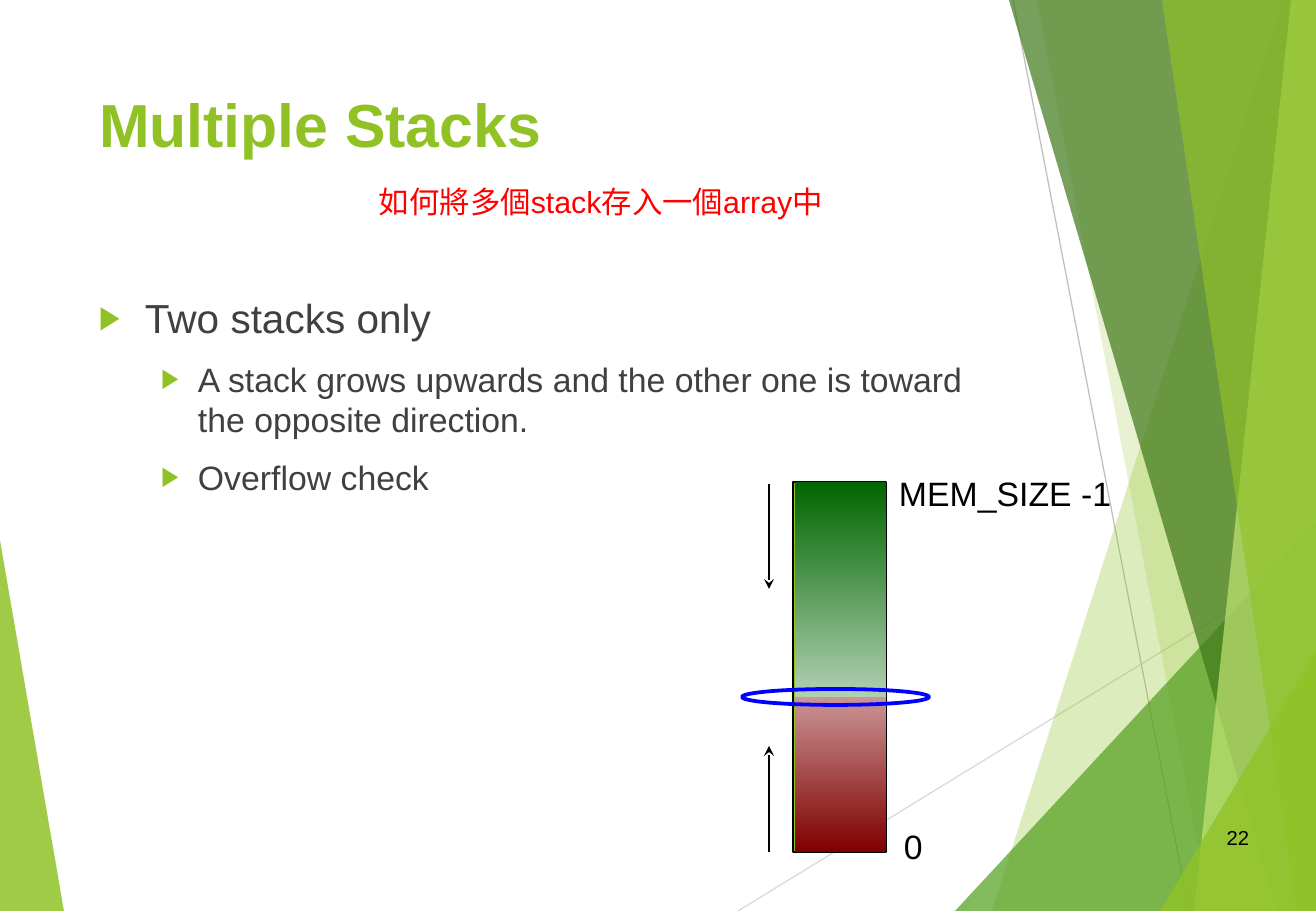
from lxml import etree
from pptx import Presentation
from pptx import util as u
from pptx.dml.color import RGBColor
from pptx.enum import shapes, text
from pptx.oxml.ns import qn

WIDTH, HEIGHT = 1316, 911
EMU_PER_PX = 914400 / 121.5
COLOURS = {
    "lime": "90C226", "leaf": "54A021", "forest": "3F7819", "pale": "C0E474",
    "body": "404040", "black": "000000", "red": "FF0000", "blue": "0000FF",
    "light_line": "D9D9D9", "mid_line": "BFBFBF",
    "upper_end": "006600", "upper_middle": "B1D0B1",
    "lower_end": "800000", "lower_middle": "D8B1B1",
}


def px(value):
    return u.Emu(round(value * EMU_PER_PX))


def rgb(name):
    return RGBColor.from_string(COLOURS[name])


class Deck:
    font = "Arial"

    def __init__(self):
        self.prs = Presentation()
        self.prs.slide_width, self.prs.slide_height = px(WIDTH), px(HEIGHT)
        self.slide = self.prs.slides.add_slide(self.prs.slide_layouts[5])

    def run(self, paragraph, words, size, colour, bold=False):
        run = paragraph.add_run()
        run.text = words
        run.font.name, run.font.size, run.font.bold = self.font, u.Pt(size), bold
        run.font.color.rgb = rgb(colour)

    def frame(self, shape, anchor=text.MSO_ANCHOR.TOP):
        frame = shape.text_frame
        frame.word_wrap = True
        frame.auto_size = text.MSO_AUTO_SIZE.NONE
        frame.vertical_anchor = anchor
        return frame

    def title(self, box, words, size, colour):
        holder = self.slide.shapes.title
        holder.left, holder.top, holder.width, holder.height = map(px, box)
        paragraph = self.frame(holder).paragraphs[0]
        paragraph.alignment = text.PP_ALIGN.LEFT
        self.run(paragraph, words, size, colour, bold=True)

    def label(self, box, words, size, colour, align=text.PP_ALIGN.LEFT,
              anchor=text.MSO_ANCHOR.TOP):
        holder = self.slide.shapes.add_textbox(*map(px, box))
        paragraph = self.frame(holder, anchor).paragraphs[0]
        paragraph.alignment = align
        self.run(paragraph, words, size, colour)

    def bullets(self, box, items, styles):
        """Each style is (text size, left margin, hanging indent)."""
        frame = self.frame(self.slide.shapes.add_textbox(*map(px, box)))
        for index, (level, words) in enumerate(items):
            paragraph = frame.add_paragraph() if index else frame.paragraphs[0]
            size, margin, hang = styles[level]
            paragraph.level, paragraph.space_before = level, u.Pt(10)
            props = paragraph._p.get_or_add_pPr()
            props.set("marL", str(px(margin)))
            props.set("indent", str(px(-hang)))
            tint = etree.SubElement(props, qn("a:buClr"))
            etree.SubElement(tint, qn("a:srgbClr"), val=COLOURS["lime"])
            etree.SubElement(props, qn("a:buSzPct"), val="80000")
            etree.SubElement(props, qn("a:buFont"), typeface=self.font)
            etree.SubElement(props, qn("a:buChar"), char="▶")
            self.run(paragraph, words, size, "body")

    def facet(self, points, colour, opacity):
        builder = self.slide.shapes.build_freeform(*points[0], scale=EMU_PER_PX)
        builder.add_line_segments(points[1:], close=True)
        facet = builder.convert_to_shape()
        facet.shadow.inherit = False
        facet.fill.solid()
        facet.fill.fore_color.rgb = rgb(colour)
        facet.line.fill.background()
        tint = facet.fill._xPr.find(".//" + qn("a:srgbClr"))
        etree.SubElement(tint, qn("a:alpha"), val=str(opacity * 1000))

    def shape(self, kind, box, fill=None, gradient=None, line=None, weight=1):
        shape = self.slide.shapes.add_shape(kind, *map(px, box))
        shape.shadow.inherit = False
        if gradient:
            shape.fill.gradient()
            shape.fill.gradient_angle = 270
            for stop, colour in zip(shape.fill.gradient_stops, gradient):
                stop.color.rgb = rgb(colour)
        elif fill:
            shape.fill.solid()
            shape.fill.fore_color.rgb = rgb(fill)
        else:
            shape.fill.background()
        if line:
            shape.line.color.rgb, shape.line.width = rgb(line), u.Pt(weight)
        else:
            shape.line.fill.background()

    def line(self, start, end, colour, weight, arrow=False):
        line = self.slide.shapes.add_connector(
            shapes.MSO_CONNECTOR.STRAIGHT, *map(px, start + end))
        line.line.color.rgb, line.line.width = rgb(colour), u.Pt(weight)
        if arrow:
            etree.SubElement(line.line._get_or_add_ln(), qn("a:tailEnd"), type="stealth")
        etree.SubElement(line._element.spPr, qn("a:effectLst"))


deck = Deck()
RECT, OVAL = shapes.MSO_SHAPE.RECTANGLE, shapes.MSO_SHAPE.OVAL
corner = (WIDTH, HEIGHT)

# Background facets and hairlines
deck.facet([(0, 540), (64, HEIGHT), (0, HEIGHT)], "lime", 85)
deck.line((738, HEIGHT), (WIDTH, 557), "light_line", 0.75)
deck.line((1013, 0), (1189, HEIGHT), "mid_line", 0.75)
right_facets = [
    ((1283, 0), 992, "lime", 30),
    ((1037, 0), 1210, "lime", 20),
    ((955, HEIGHT), None, "leaf", 72),
    ((1009, 0), 1277, "forest", 70),
    ((1291, 0), 1194, "pale", 70),
    ((1162, 0), 1297, "lime", 65),
    ((1160, HEIGHT), None, "lime", 80),
]
triangle_tops = {955: 522, 1160: 651}
for first, foot, colour, opacity in right_facets:
    if foot is None:
        points = [first, (WIDTH, triangle_tops[first[0]]), corner]
    else:
        points = [first, (foot, HEIGHT), corner, (WIDTH, 0)]
    deck.facet(points, colour, opacity)

# Heading, bullets and page number
deck.title((87, 81, 914, 175), "Multiple Stacks", 36, "lime")
deck.bullets(
    (87, 287, 914, 515),
    [(0, "Two stacks only"),
     (1, "A stack grows upwards and the other one is toward the opposite direction."),
     (1, "Overflow check")],
    [(24, 46, 46), (20, 99, 37)])
deck.label((1187, 813, 74, 49), "22", 12, "black",
           text.PP_ALIGN.RIGHT, text.MSO_ANCHOR.MIDDLE)

# Shared memory with one stack growing from each end
memory_top, memory_bottom, meeting = 482, 852, 697
deck.line((769, memory_bottom), (769, 746), "black", 1, arrow=True)
deck.shape(RECT, (793, memory_top, 93, memory_bottom - memory_top),
           fill="lime", line="black")
for top, bottom, gradient in [
        (668, memory_bottom, ("lower_middle", "lower_end")),
        (memory_top, meeting, ("upper_end", "upper_middle"))]:
    deck.shape(RECT, (795, top, 91, bottom - top), gradient=gradient)
deck.label((892, 820, 40, 52), "0", 20, "black")
deck.label((887, 467, 237, 52), "MEM_SIZE -1", 20, "black")
deck.line((769, 484), (769, 589), "black", 1, arrow=True)
deck.shape(OVAL, (742, 689, 187, 16), line="blue", weight=2.25)

# Question under the heading
deck.label((367, 177, 473, 49), "如何將多個stack存入一個array中", 18, "red")

deck.prs.save("out.pptx")
